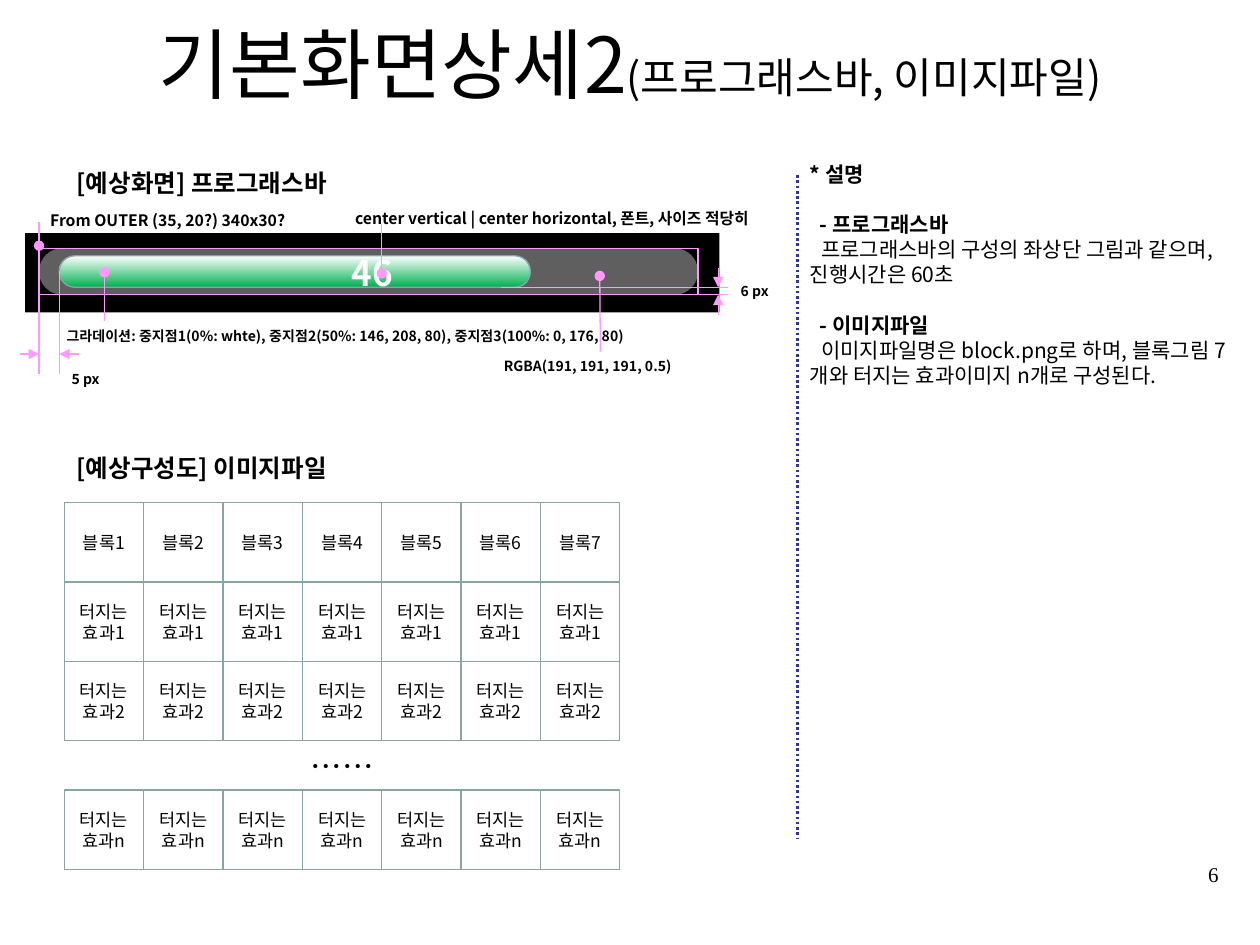
import pptx
import pptx.util
import pptx.dml.color
import pptx.enum.dml
import pptx.enum.shapes
import pptx.enum.text
import pptx.oxml.ns
from lxml import etree

Inches = pptx.util.Inches
Pt = pptx.util.Pt
RGBColor = pptx.dml.color.RGBColor
SHAPE = pptx.enum.shapes.MSO_SHAPE
ANCHOR = pptx.enum.text.MSO_ANCHOR
ALIGN = pptx.enum.text.PP_ALIGN
qn = pptx.oxml.ns.qn

BLACK = RGBColor(0x00, 0x00, 0x00)
WHITE = RGBColor(0xFF, 0xFF, 0xFF)
GREEN = RGBColor(0x00, 0xB0, 0x50)
GRAY = RGBColor(0xBF, 0xBF, 0xBF)
TEAL = RGBColor(0x89, 0xA4, 0xA7)
PINK = RGBColor(0xFF, 0x99, 0xFF)
NAVY = RGBColor(0x33, 0x33, 0x99)

SANS = "Noto Sans CJK KR"
SERIF = "Times New Roman"
LINE_RATIO = 1.2

TITLE = [("기본화면상세2", {"size": Pt(44)}), ("(프로그래스바, 이미지파일)", {"size": Pt(24)})]

DESCRIPTION = [
    ("* 설명", True, 0, 0),
    ("- 프로그래스바", True, 0.08, 1),
    ("프로그래스바의 구성의 좌상단 그림과 같으며, 진행시간은 60초", False, 0.09, 0),
    ("- 이미지파일", True, 0.08, 1),
    ("이미지파일명은 block.png로 하며, 블록그림 7개와 터지는 효과이미지 n개로 구성된다.", False, 0.09, 0),
]

MIDDLE = {"anchor": ANCHOR.MIDDLE}
CENTER = {"anchor": ANCHOR.MIDDLE, "align": ALIGN.CENTER}
LABELS = {
    "image heading": ("[예상구성도] 이미지파일", (0.51, 3.59, 4.41, 0.24), {"size": Pt(14), "bold": True}, MIDDLE),
    "bar heading": ("[예상화면] 프로그래스바", (0.51, 1.33, 4.41, 0.24), {"size": Pt(14), "bold": True}, MIDDLE),
    "ellipsis": ("……", (0.51, 5.88, 4.41, 0.39), {"size": Pt(18)}, CENTER),
    "gradient": ("그라데이션: 중지점1(0%: whte), 중지점2(50%: 146, 208, 80), 중지점3(100%: 0, 176, 80)",
                 (0.43, 2.55, 5.28, 0.24), {"size": Pt(8), "bold": True}, {}),
    "rgba": ("RGBA(191, 191, 191, 0.5)", (3.9, 2.79, 1.73, 0.24), {"size": Pt(8), "bold": True}, {}),
    "outer": ("From OUTER (35, 20?) 340x30?", (0.3, 1.62, 2.83, 0.25), {"size": Pt(9), "bold": True}, {}),
    "percent": ("46", (2.56, 1.85, 0.79, 0.63), {"size": Pt(20), "bold": True, "color": WHITE}, CENTER),
    "centering": ("center vertical | center horizontal, 폰트, 사이즈 적당히",
                  (2.72, 1.61, 3.7, 0.25), {"size": Pt(9), "bold": True}, {}),
    "left gap": ("5 px", (0.47, 2.89, 0.55, 0.24), {"size": Pt(8), "bold": True}, {}),
    "bottom gap": ("6 px", (5.78, 2.19, 0.55, 0.24), {"size": Pt(8), "bold": True}, {}),
    "page number": ("6", (8.7, 6.74, 1.07, 0.4), {"size": Pt(12), "name": SERIF},
                    {"anchor": ANCHOR.MIDDLE, "align": ALIGN.RIGHT}),
}

GUIDES = [
    ((0.83, 2.55), (0.83, 2.16), {"tailEnd": "oval"}),
    ((3.03, 2.17), (3.03, 1.78), {"headEnd": "oval"}),
    ((0.31, 1.95), (0.31, 1.76), {"headEnd": "oval"}),
    ((0.63, 2.81), (0.47, 2.81), {"tailEnd": "triangle"}),
    ((0.31, 2.81), (0.16, 2.81), {"headEnd": "triangle"}),
    ((3.98, 2.28), (5.78, 2.28), {}),
    ((5.7, 2.13), (5.7, 2.28), {"tailEnd": "triangle"}),
    ((5.7, 2.34), (5.7, 2.5), {"headEnd": "triangle"}),
    ((3.98, 2.34), (5.78, 2.34), {}),
]

COLUMNS = 7
CELL = 0.63
GRID_LEFT = 0.51
GRID_ROWS = [
    (3.99, [f"블록{n + 1}" for n in range(COLUMNS)]),
    (3.99 + CELL, ["터지는효과1"] * COLUMNS),
    (3.99 + 2 * CELL, ["터지는효과2"] * COLUMNS),
    (6.27, ["터지는효과n"] * COLUMNS),
]


def add_text(paragraph, text, style):
    run = paragraph.add_run()
    run.text = text
    style = {"name": SANS, "bold": False, "color": BLACK, **style}
    run.font.color.rgb = style.pop("color")
    for key, value in style.items():
        setattr(run.font, key, value)
    east_asian = etree.SubElement(run.font._element, qn("a:ea"))
    east_asian.set("typeface", style["name"])


def set_frame(shape, anchor=ANCHOR.TOP):
    frame = shape.text_frame
    frame.word_wrap = True
    frame.vertical_anchor = anchor
    return frame


def fill_text(shape, runs, anchor=ANCHOR.TOP, align=ALIGN.LEFT):
    paragraph = set_frame(shape, anchor).paragraphs[0]
    paragraph.alignment = align
    paragraph.line_spacing = Pt(LINE_RATIO * max(style["size"].pt for _, style in runs))
    for text, style in runs:
        add_text(paragraph, text, style)


def add_box(shapes, kind, place, fill=None, line=None):
    box = shapes.add_shape(kind, *map(Inches, place))
    box.shadow.inherit = False
    if fill is None:
        box.fill.background()
    else:
        box.fill.solid()
        box.fill.fore_color.rgb = fill
    if line is None:
        box.line.fill.background()
    else:
        box.line.color.rgb = line
        box.line.width = Pt(0.75)
    if kind == SHAPE.ROUNDED_RECTANGLE:
        box.adjustments[0] = 0.5
    return box


def add_line(shapes, start, end, color=PINK, width=0.75, ends=None):
    line = shapes.add_connector(pptx.enum.shapes.MSO_CONNECTOR.STRAIGHT, *map(Inches, (*start, *end)))
    line.line.color.rgb = color
    line.line.width = Pt(width)
    outline = line.line._get_or_add_ln()
    for tag, kind in (ends or {}).items():
        etree.SubElement(outline, qn(f"a:{tag}")).set("type", kind)
    etree.SubElement(line._element.spPr, qn("a:effectLst"))
    return line


def add_description(shapes):
    size = 12
    frame = set_frame(shapes.add_textbox(*map(Inches, (6.33, 1.23, 3.67, 1.9))))
    for index, (text, bold, indent, gap) in enumerate(DESCRIPTION):
        paragraph = frame.paragraphs[0] if index == 0 else frame.add_paragraph()
        paragraph.line_spacing = Pt(LINE_RATIO * size)
        if gap:
            paragraph.space_before = Pt(LINE_RATIO * size * gap)
        properties = paragraph._p.get_or_add_pPr()
        properties.set("marL", "0")
        properties.set("indent", str(Inches(indent)))
        add_text(paragraph, text, {"size": Pt(size), "bold": bold})


def add_grid(shapes):
    for top, names in GRID_ROWS:
        for column, name in enumerate(names):
            cell = add_box(shapes, SHAPE.RECTANGLE, (GRID_LEFT + column * CELL, top, CELL, CELL), line=TEAL)
            fill_text(cell, [(name, {"size": Pt(10)})], **CENTER)


def add_progress_bar(shapes):
    track_place = (0.31, 1.97, 5.23, 0.37)
    add_box(shapes, SHAPE.RECTANGLE, (0.2, 1.85, 5.51, 0.63), BLACK)
    track = add_box(shapes, SHAPE.ROUNDED_RECTANGLE, track_place, GRAY)
    track_color = track._element.spPr.find(".//" + qn("a:srgbClr"))
    etree.SubElement(track_color, qn("a:alpha")).set("val", "50000")
    progress = add_box(shapes, SHAPE.ROUNDED_RECTANGLE, (0.47, 2.03, 3.74, 0.25), line=TEAL)
    progress.fill.gradient()
    progress.fill.gradient_angle = 270
    for stop, color, position in zip(progress.fill.gradient_stops, (WHITE, GREEN), (0, 1)):
        stop.color.rgb = color
        stop.position = position
    return progress, add_box(shapes, SHAPE.RECTANGLE, track_place, line=PINK)


def main():
    deck = pptx.Presentation()
    deck.slide_width, deck.slide_height = Inches(10), Inches(7.5)
    shapes = deck.slides.add_slide(deck.slide_layouts[6]).shapes

    fill_text(shapes.add_textbox(*map(Inches, (0, 0, 10, 0.99))), TITLE, **CENTER)
    divider = add_line(shapes, (6.33, 1.39), (6.33, 6.66), NAVY, 1.5)
    divider.line.dash_style = pptx.enum.dml.MSO_LINE.ROUND_DOT
    add_description(shapes)
    add_grid(shapes)
    progress, outline = add_progress_bar(shapes)

    labels = {}
    for part, (text, place, style, layout) in LABELS.items():
        labels[part] = shapes.add_textbox(*map(Inches, place))
        fill_text(labels[part], [(text, style)], **layout)

    for start, end, ends in GUIDES:
        add_line(shapes, start, end, ends=ends)
    joined_guides = [
        (labels["rgba"], 0, (4.76, 2.79), (4.76, 2.19), {"tailEnd": "oval"}),
        (outline, 1, (0.31, 2.16), (0.31, 2.97), {}),
        (progress, 1, (0.47, 2.16), (0.47, 2.97), {}),
    ]
    for target, side, start, end, ends in joined_guides:
        add_line(shapes, start, end, ends=ends).begin_connect(target, side)

    deck.save("out.pptx")


if __name__ == "__main__":
    main()
